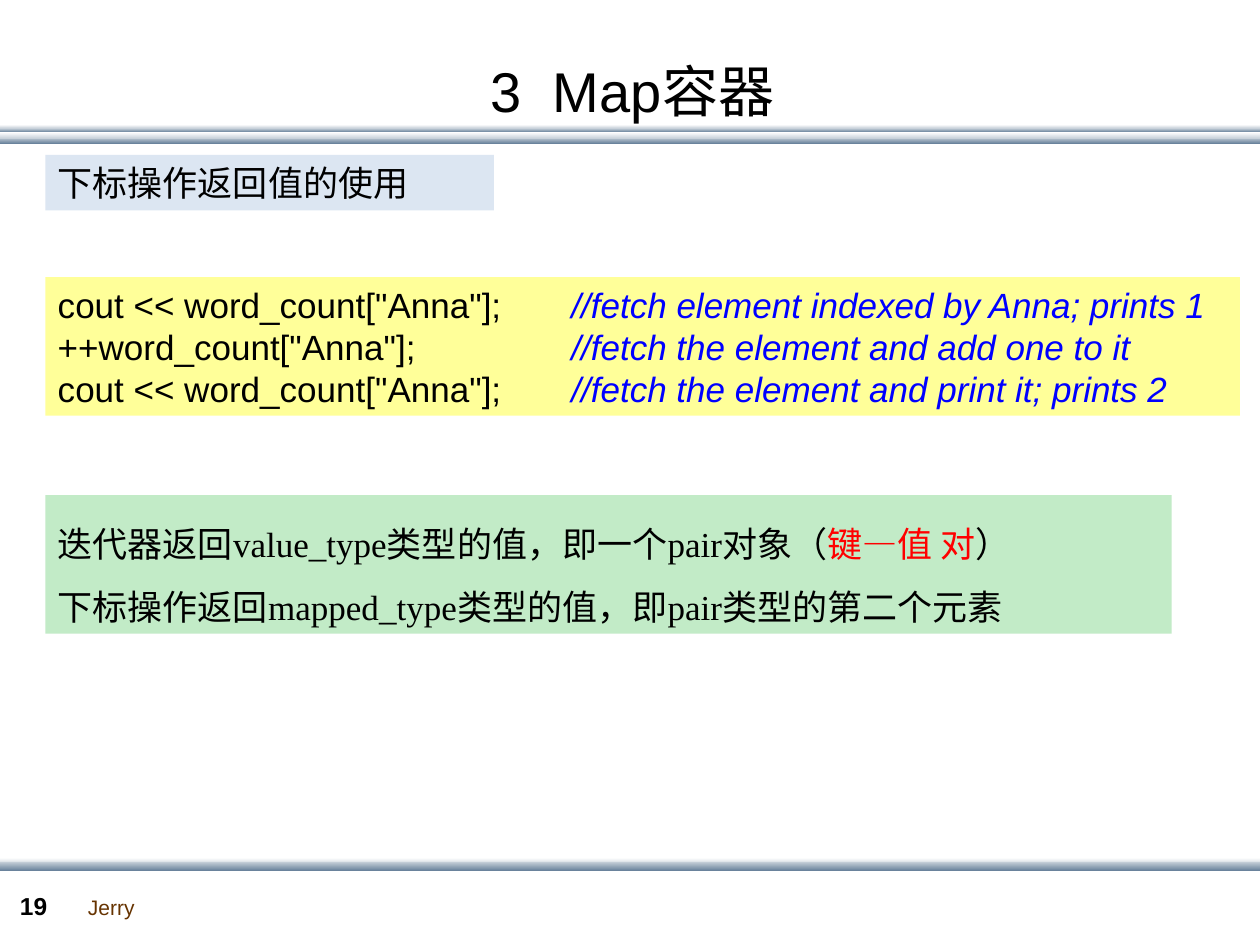
"""Build the Map container slide about subscript return values."""
from dataclasses import dataclass

from lxml import etree
from pptx import Presentation
from pptx import util as u
from pptx.dml.color import RGBColor
from pptx.enum import shapes, text
from pptx.oxml import ns

BLACK = RGBColor(0x00, 0x00, 0x00)
WHITE = RGBColor(0xFF, 0xFF, 0xFF)
RED = RGBColor(0xFF, 0x00, 0x00)
BLUE = RGBColor(0x00, 0x00, 0xFF)
BROWN = RGBColor(0x66, 0x33, 0x00)
SILVER = RGBColor(0xC8, 0xD1, 0xDA)
STEEL = RGBColor(0x6A, 0x83, 0x9C)
PALE_BLUE = RGBColor(0xDC, 0xE6, 0xF2)
PALE_GREEN = RGBColor(0xC2, 0xEB, 0xC7)
PALE_YELLOW = RGBColor(0xFF, 0xFF, 0x99)
SANS, SERIF = "Arial", "Times New Roman"


@dataclass(frozen=True)
class Band:
    top: float
    height: float
    upper: RGBColor
    lower: RGBColor


@dataclass(frozen=True)
class Span:
    words: str
    color: RGBColor = BLACK
    italic: bool = False
    bold: bool = False


@dataclass(frozen=True)
class Panel:
    top: float
    width: float
    height: float
    fill: RGBColor
    font: str
    lines: tuple[tuple[Span, ...], ...]
    spacing: float = 1.0


def code_line(code: str, comment: str) -> tuple[Span, Span]:
    return Span(code), Span(comment, BLUE, italic=True)


BANDS = (
    Band(1.09, 0.05, SILVER, STEEL),
    Band(1.02, 0.03, SILVER, STEEL),
    Band(1.05, 0.05, WHITE, SILVER),
    Band(0.99, 0.03, WHITE, SILVER),
    Band(6.81, 0.05, WHITE, SILVER),
    Band(6.84, 0.07, SILVER, STEEL),
)
PANELS = (
    Panel(1.23, 3.56, 0.44, PALE_BLUE, SERIF, ((Span("下标操作返回值的使用"),),)),
    Panel(3.93, 8.94, 1.1, PALE_GREEN, SERIF, (
        (Span("迭代器返回value_type类型的值，即一个pair对象（"),
         Span("键—值 对", RED), Span("）")),
        (Span("下标操作返回mapped_type类型的值，即pair类型的第二个元素"),),
    ), spacing=1.5),
    Panel(2.2, 9.48, 1.1, PALE_YELLOW, SANS, (
        code_line('cout << word_count["Anna"]; \t',
                  " //fetch element indexed by Anna; prints 1"),
        code_line('++word_count["Anna"];\t\t ',
                  "//fetch the element and add one to it"),
        code_line('cout << word_count["Anna"]; \t ',
                  "//fetch the element and print it; prints 2"),
    )),
)


def add_tab_stops(para) -> None:
    tabs = etree.SubElement(para._p.get_or_add_pPr(), ns.qn("a:tabLst"))
    for inch in range(8):
        etree.SubElement(tabs, ns.qn("a:tab"), pos=str(u.Inches(inch)), algn="l")


def add_span(para, span: Span, font: str, size: float) -> None:
    run = para.add_run()
    run.text = span.words
    run.font.name = font
    run.font.size = u.Pt(size)
    run.font.bold = span.bold
    run.font.italic = span.italic
    run.font.color.rgb = span.color


def add_plain_rectangle(page, left: float, top: float, width: float, height: float):
    box = page.shapes.add_shape(
        shapes.MSO_SHAPE.RECTANGLE, u.Inches(left), u.Inches(top),
        u.Inches(width), u.Inches(height))
    box.shadow.inherit = False
    box.line.fill.background()
    return box


def draw_band(page, band: Band) -> None:
    box = add_plain_rectangle(page, 0, band.top, 10.01, band.height)
    box.fill.gradient()
    box.fill.gradient_angle = 270
    for stop, color, position in zip(
            box.fill.gradient_stops, (band.upper, band.lower), (0, 1)):
        stop.color.rgb = color
        stop.position = position


def draw_panel(page, panel: Panel) -> None:
    box = add_plain_rectangle(page, 0.36, panel.top, panel.width, panel.height)
    box.fill.solid()
    box.fill.fore_color.rgb = panel.fill
    frame = box.text_frame
    frame.word_wrap = True
    frame.vertical_anchor = text.MSO_ANCHOR.TOP
    for index, line in enumerate(panel.lines):
        para = frame.add_paragraph() if index else frame.paragraphs[0]
        add_tab_stops(para)
        para.alignment = text.PP_ALIGN.LEFT
        para.line_spacing = panel.spacing
        for span in line:
            add_span(para, span, panel.font, 20)


def draw_label(page, left: float, top: float, width: float, height: float,
               span: Span, size: float, wrap: bool) -> None:
    box = page.shapes.add_textbox(
        u.Inches(left), u.Inches(top), u.Inches(width), u.Inches(height))
    box.text_frame.word_wrap = wrap
    add_span(box.text_frame.paragraphs[0], span, SANS, size)


def draw_title(page, span: Span) -> None:
    title = page.shapes.title
    title.left, title.top = u.Inches(0.22), u.Inches(0.44)
    title.width, title.height = u.Inches(9.6), u.Inches(0.55)
    frame = title.text_frame
    frame.margin_left = frame.margin_right = 0
    frame.margin_top = frame.margin_bottom = 0
    frame.auto_size = text.MSO_AUTO_SIZE.NONE
    frame.vertical_anchor = text.MSO_ANCHOR.MIDDLE
    para = frame.paragraphs[0]
    para.alignment = text.PP_ALIGN.CENTER
    add_span(para, span, SANS, 32)


def main() -> None:
    deck = Presentation()
    deck.slide_width, deck.slide_height = u.Inches(10), u.Inches(7.5)
    page = deck.slides.add_slide(deck.slide_layouts.get_by_name("Title Only"))
    for band in BANDS:
        draw_band(page, band)
    draw_label(page, 0.6, 7.05, 0.57, 0.3, Span("Jerry", BROWN), 12, wrap=False)
    draw_label(page, 0.06, 7.02, 0.55, 0.34, Span("19", bold=True), 14, wrap=True)
    draw_title(page, Span("3  Map容器"))
    for panel in PANELS:
        draw_panel(page, panel)
    deck.save("out.pptx")


if __name__ == "__main__":
    main()
